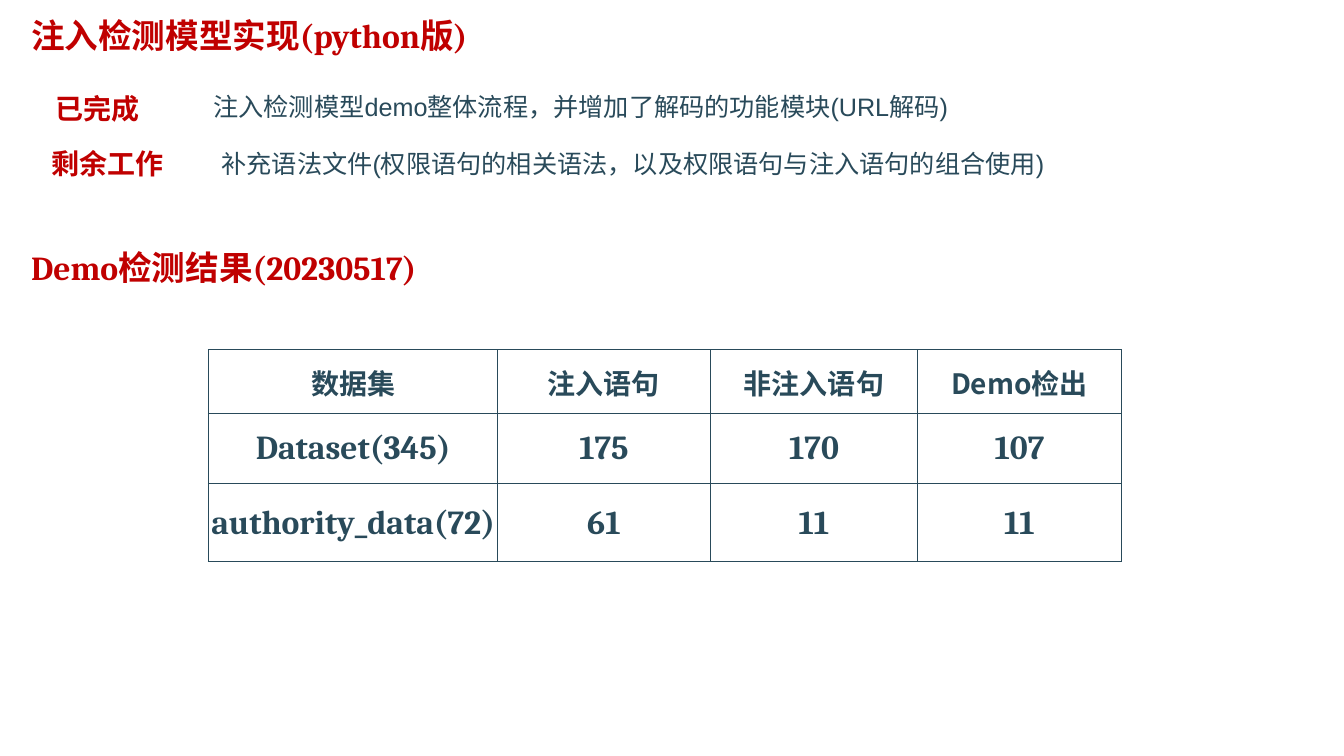
import pptx
import pptx.dml.color
import pptx.enum.text
import pptx.oxml.ns
import pptx.util
from lxml import etree
from pptx.util import Inches

RED, SLATE = "C00000", "294A5A"
CJK_FONT = "Noto Sans CJK SC"
HEADING = {"size": 24, "name": "Cambria", "color": RED, "bold": True}
LABEL = {**HEADING, "size": 20}
DETAIL = {"size": 18, "name": "Arial", "color": SLATE, "bold": False}
TABLE_HEAD = {"size": 20, "name": CJK_FONT, "color": SLATE, "bold": True}
TABLE_BODY = {**TABLE_HEAD, "size": 24, "name": "Cambria"}

PROGRESS = [
    ("已完成", 0.45, 0.86, LABEL, 1.5, 0.44),
    ("注入检测模型demo整体流程，并增加了解码的功能模块(URL解码)", 2.02, 0.86, DETAIL, 8.89, 0.4),
    ("剩余工作", 0.41, 1.4, LABEL, 1.5, 0.44),
    ("补充语法文件(权限语句的相关语法，以及权限语句与注入语句的组合使用)", 2.1, 1.42, DETAIL, 8.89, 0.4),
    ("Demo检测结果(20230517)", 0.21, 2.4, HEADING, 5.04, 0.5),
]
RESULTS = [
    ("数据集", "注入语句", "非注入语句", "Demo检出"),
    ("Dataset(345)", "175", "170", "107"),
    ("authority_data(72)", "61", "11", "11"),
]
COLUMN_WIDTHS = (2.87, 2.11, 2.06, 2.02)
ROW_HEIGHTS = (0.63, 0.7, 0.77)


def rgb(hex_color):
    """Turn a hex string into a colour."""
    return pptx.dml.color.RGBColor.from_string(hex_color)


def add_child(parent, tag, **attributes):
    """Append a DrawingML element to a parent."""
    return etree.SubElement(parent, pptx.oxml.ns.qn(tag), **attributes)


def write(frame, text, style, align=pptx.enum.text.PP_ALIGN.LEFT):
    """Put one styled run into a text frame."""
    paragraph = frame.paragraphs[0]
    paragraph.alignment = align
    run = paragraph.add_run()
    run.text = text
    values = {"size": pptx.util.Pt(style["size"]), "name": style["name"], "bold": style["bold"]}
    for attribute, value in values.items():
        setattr(run.font, attribute, value)
    run.font.color.rgb = rgb(style["color"])
    add_child(run.font._element, "a:ea", typeface=CJK_FONT)


def format_frame(frame):
    """Give a text frame wrapping, top anchor and growth to fit."""
    values = {
        "word_wrap": True,
        "vertical_anchor": pptx.enum.text.MSO_ANCHOR.TOP,
        "auto_size": pptx.enum.text.MSO_AUTO_SIZE.SHAPE_TO_FIT_TEXT,
        "margin_left": Inches(0.1), "margin_right": Inches(0.1),
        "margin_top": Inches(0.05), "margin_bottom": Inches(0.05),
    }
    for attribute, value in values.items():
        setattr(frame, attribute, value)


def set_title(slide, text):
    """Place and write the slide title."""
    title = slide.shapes.title
    place = {"left": 0.21, "top": 0.1, "width": 6.67, "height": 0.5}
    for attribute, value in place.items():
        setattr(title, attribute, Inches(value))
    format_frame(title.text_frame)
    title.text_frame.paragraphs[0].line_spacing = 1.0
    title.text_frame.paragraphs[0].space_before = pptx.util.Pt(0)
    write(title.text_frame, text, HEADING)


def add_text(slide, text, left, top, style, width, height):
    """Add one line of text."""
    box = slide.shapes.add_textbox(Inches(left), Inches(top), Inches(width), Inches(height))
    format_frame(box.text_frame)
    write(box.text_frame, text, style)


def add_borders(cell):
    """Draw a thin line on every side of a cell."""
    properties = cell._tc.get_or_add_tcPr()
    for side in ("a:lnL", "a:lnR", "a:lnT", "a:lnB"):
        line = add_child(properties, side, w=str(pptx.util.Pt(1)))
        add_child(add_child(line, "a:solidFill"), "a:srgbClr", val=SLATE)


def fill_cell(cell, text, style):
    """Format and write one table cell."""
    values = {
        "margin_left": Inches(0.01), "margin_right": Inches(0.01),
        "margin_top": Inches(0.01), "margin_bottom": 0,
        "vertical_anchor": pptx.enum.text.MSO_ANCHOR.MIDDLE,
    }
    for attribute, value in values.items():
        setattr(cell, attribute, value)
    add_borders(cell)
    cell.fill.background()
    write(cell.text_frame, text, style, pptx.enum.text.PP_ALIGN.CENTER)


def add_results(slide):
    """Add the table of detection results."""
    results = slide.shapes.add_table(
        len(ROW_HEIGHTS), len(COLUMN_WIDTHS), Inches(2.07), Inches(3.47),
        Inches(sum(COLUMN_WIDTHS)), Inches(sum(ROW_HEIGHTS))).table
    results.horz_banding = False
    results.first_row = False
    for column, width in zip(results.columns, COLUMN_WIDTHS):
        column.width = Inches(width)
    for index, (row, height, texts) in enumerate(zip(results.rows, ROW_HEIGHTS, RESULTS)):
        row.height = Inches(height)
        for cell, text in zip(row.cells, texts):
            fill_cell(cell, text, TABLE_BODY if index else TABLE_HEAD)


def main():
    """Build and save the slide."""
    deck = pptx.Presentation()
    deck.slide_width, deck.slide_height = Inches(13.34), Inches(7.5)
    slide = deck.slides.add_slide(deck.slide_layouts[5])
    set_title(slide, "注入检测模型实现(python版)")
    for line in PROGRESS:
        add_text(slide, *line)
    add_results(slide)
    deck.save("out.pptx")


main()
